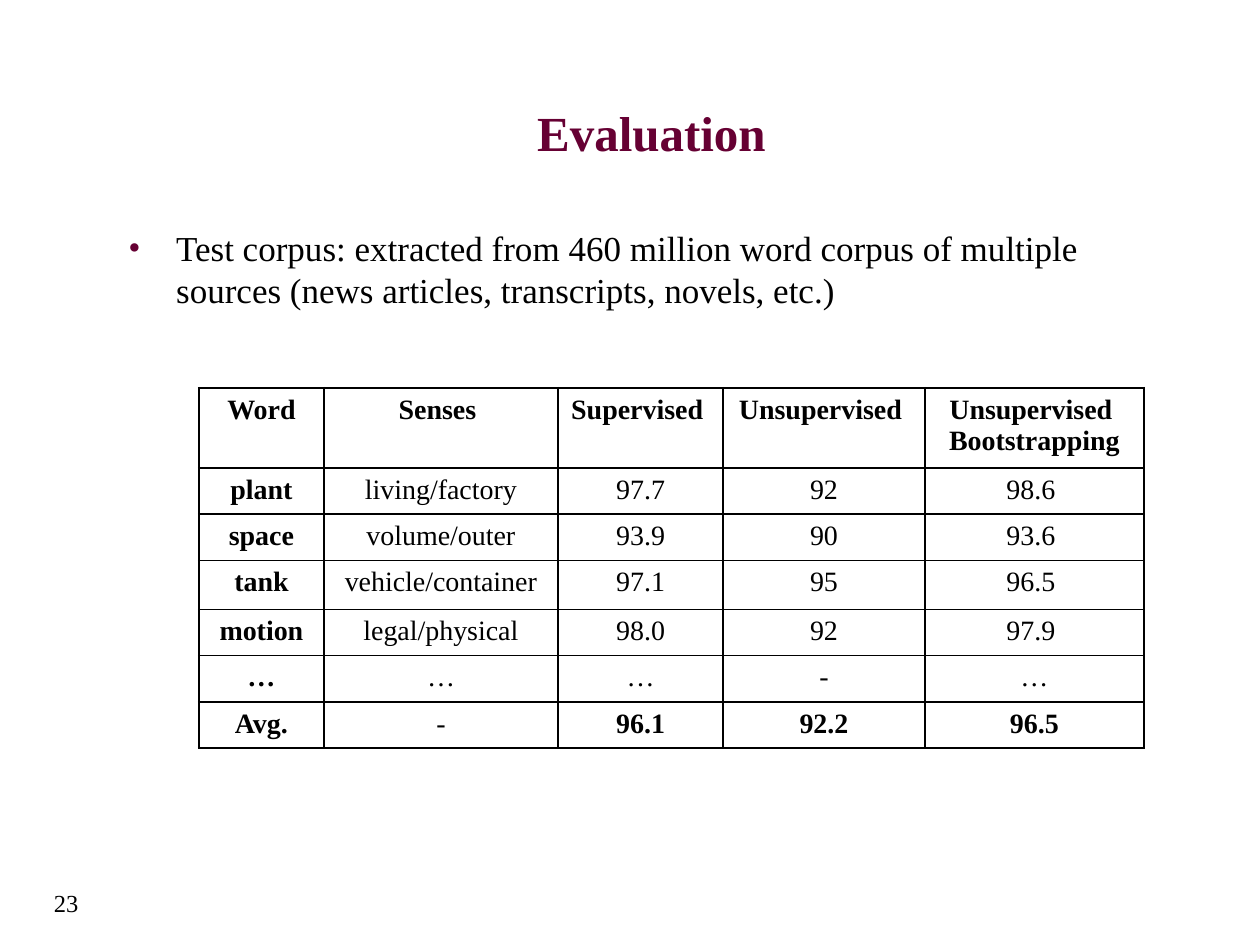
from lxml.etree import SubElement
from pptx import Presentation
from pptx.dml.color import RGBColor
from pptx.enum.text import MSO_ANCHOR, MSO_AUTO_SIZE, PP_ALIGN
from pptx.oxml.ns import qn
from pptx.util import Inches, Pt

FONT = "Times New Roman"
BLACK = "000000"
MAROON = "660033"

COLUMN_WIDTHS = [0.99, 1.86, 1.31, 1.6, 1.74]
ROW_HEIGHTS = [0.5, 0.27, 0.27, 0.39, 0.3, 0.3, 0.3]
RESULTS = [
    ["Word", "Senses ", "Supervised ", "Unsupervised ", "Unsupervised \nBootstrapping"],
    ["plant", "living/factory", "97.7", "92", "98.6 "],
    ["space", "volume/outer", "93.9", "90", "93.6 "],
    ["tank", "vehicle/container", "97.1", "95", "96.5 "],
    ["motion", "legal/physical", "98.0", "92", "97.9 "],
    ["…", "…", "…", "-", "…"],
    ["Avg.", "-", "96.1", "92.2", "96.5"],
]


def color(value):
    return RGBColor.from_string(value)


def write_text(text_frame, text, size, align=PP_ALIGN.LEFT, text_color=BLACK, bold=False):
    text_frame.text = text
    font_format = {"name": FONT, "size": Pt(size), "bold": bold}
    for paragraph in text_frame.paragraphs:
        paragraph.alignment = align
        for run in paragraph.runs:
            for name, value in font_format.items():
                setattr(run.font, name, value)
            run.font.color.rgb = color(text_color)


def place(shape, left, top, width, height):
    box = {"left": left, "top": top, "width": width, "height": height}
    for name, value in box.items():
        setattr(shape, name, Inches(value))


def add_title(slide, text):
    title = slide.shapes.title
    place(title, 0.92, 0.42, 8.5, 1.25)
    title.text_frame.vertical_anchor = MSO_ANCHOR.MIDDLE
    write_text(title.text_frame, text, 28, PP_ALIGN.CENTER, MAROON, bold=True)


def add_text_box(slide, box, text, size, wrap=True):
    shape = slide.shapes.add_textbox(*map(Inches, box))
    shape.text_frame.word_wrap = wrap
    write_text(shape.text_frame, text, size)
    return shape


def add_bullet(paragraph, indent):
    paragraph.space_before = Pt(4)
    properties = paragraph._p.get_or_add_pPr()
    properties.set("marL", str(Inches(indent)))
    properties.set("indent", str(-Inches(indent)))
    bullet_color = SubElement(properties, qn("a:buClr"))
    SubElement(bullet_color, qn("a:srgbClr"), val=MAROON)
    SubElement(properties, qn("a:buFont"), typeface=FONT)
    SubElement(properties, qn("a:buChar"), char="•")


def set_borders(cell, widths):
    """Draw black borders; widths maps L, R, T and B to points."""
    properties = cell._tc.get_or_add_tcPr()
    for side, width in widths.items():
        line = SubElement(properties, qn(f"a:ln{side}"), w=str(Pt(width)))
        fill = SubElement(line, qn("a:solidFill"))
        SubElement(fill, qn("a:srgbClr"), val=BLACK)


def border_widths(row, column):
    """Thick outer frame, and a thick rule under the first three headers."""
    last_row, last_column = len(RESULTS) - 1, len(COLUMN_WIDTHS) - 1
    thick_rule = column < 3
    thick = {
        "L": column == 0,
        "R": column == last_column,
        "T": row == 0 or (row == 1 and thick_rule),
        "B": row == last_row or (row == 0 and thick_rule),
    }
    return {side: 1.5 if is_thick else 1 for side, is_thick in thick.items()}


def add_results_table(slide):
    last_row = len(RESULTS) - 1
    frame = slide.shapes.add_table(
        len(RESULTS), len(COLUMN_WIDTHS), Inches(1.58), Inches(3.08),
        Inches(sum(COLUMN_WIDTHS)), Inches(sum(ROW_HEIGHTS)))
    table = frame.table
    table.first_row = table.horz_banding = False
    for column, width in zip(table.columns, COLUMN_WIDTHS):
        column.width = Inches(width)
    for row, height in zip(table.rows, ROW_HEIGHTS):
        row.height = Inches(height)
    for row, values in enumerate(RESULTS):
        for column, value in enumerate(values):
            cell = table.cell(row, column)
            bold = row == 0 or column == 0 or (row == last_row and column > 1)
            write_text(cell.text_frame, value, 16, PP_ALIGN.CENTER, bold=bold)
            set_borders(cell, border_widths(row, column))
            cell.fill.background()


def main():
    presentation = Presentation()
    presentation.slide_width = Inches(10)
    presentation.slide_height = Inches(7.5)
    slide = presentation.slides.add_slide(presentation.slide_layouts.get_by_name("Title Only"))

    add_title(slide, "Evaluation")
    body = add_text_box(
        slide, (0.92, 1.75, 8.5, 4.95),
        "Test corpus: extracted from 460 million word corpus of multiple "
        "sources (news articles, transcripts, novels, etc.)", 20)
    add_bullet(body.text_frame.paragraphs[0], 0.38)
    add_results_table(slide)
    number = add_text_box(slide, (0.33, 7, 0.43, 0.33), "23", 14, wrap=False)
    number.text_frame.auto_size = MSO_AUTO_SIZE.SHAPE_TO_FIT_TEXT

    presentation.save("out.pptx")


if __name__ == "__main__":
    main()
